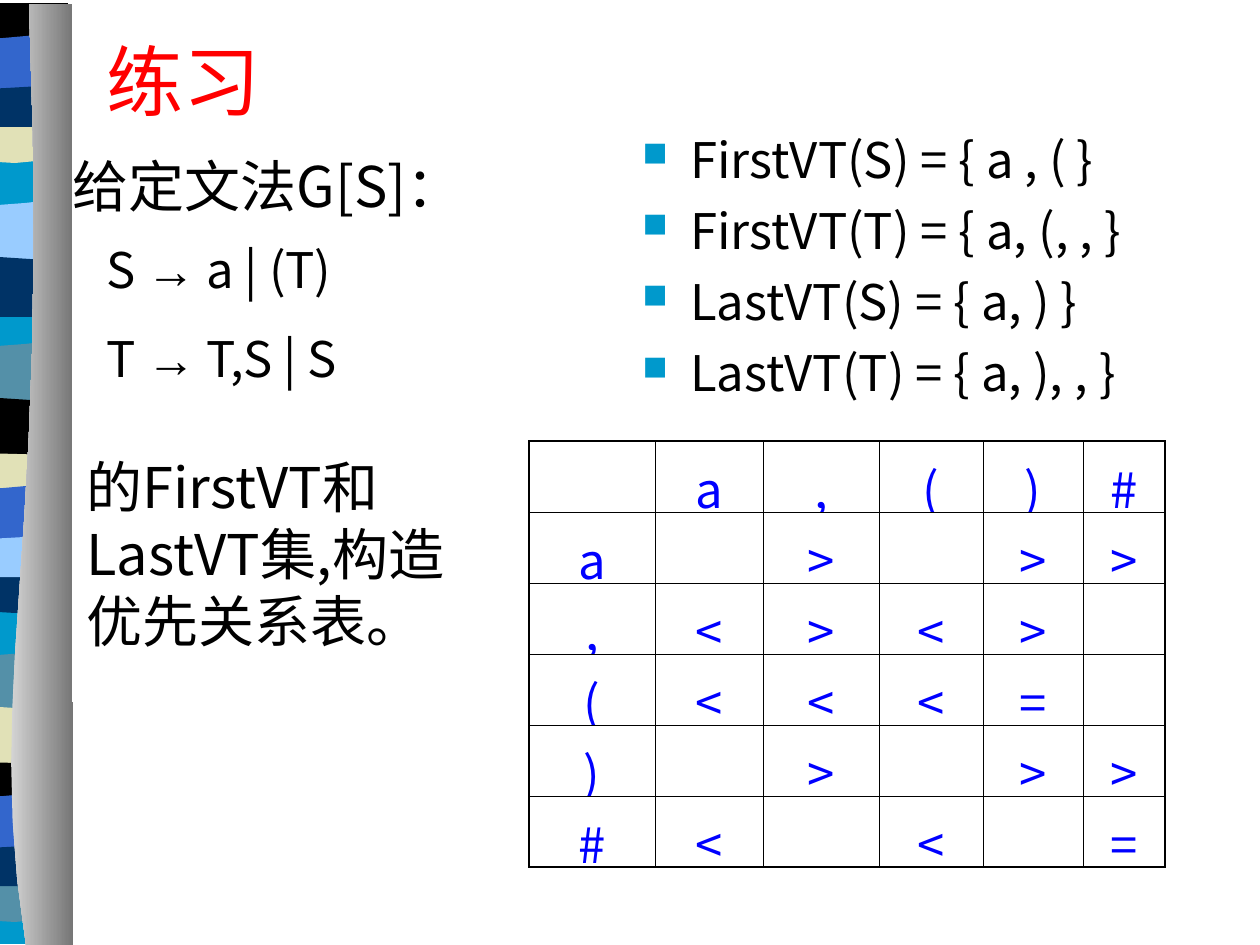
"""Build the operator-precedence exercise slide with its striped left border."""
from lxml import etree
from pptx import Presentation
from pptx import util as u
from pptx.dml.color import RGBColor
from pptx.enum import shapes, text
from pptx.oxml import ns

PX = 914400 / 126
FONT, ARROW_FONT = "Noto Sans CJK SC", "Arial"
COLORS = {
    "black": "000000", "white": "FFFFFF", "red": "FF0000", "ink": "0000FF",
    "cyan": "0099CC", "teal": "5490A8", "sand": "E1E1B7", "blue": "3366CC",
    "navy": "003366", "sky": "99CCFF", "light": "D3D3D3", "gray": "767676",
}

TITLE = ["练习"]
GIVEN = ["给定文法G[S]："]
GRAMMAR = ["S → a | (T)", "T → T,S | S"]
TASK = ["的FirstVT和LastVT集,构造优先关系表。"]
SETS = ["FirstVT(S) = { a , ( }", "FirstVT(T) = { a, (, , }",
        "LastVT(S) = { a, ) }", "LastVT(T) = { a, ), , }"]
PRECEDENCE = [
    ["", "a", ",", "(", ")", "#"],
    ["a", "", ">", "", ">", ">"],
    [",", "<", ">", "<", ">", ""],
    ["(", "<", "<", "<", "=", ""],
    [")", "", ">", "", ">", ">"],
    ["#", "<", "", "<", "", "="],
]
COLUMN_WIDTHS = [126, 108, 116, 104, 100, 82]
ROW_HEIGHT = 71

BAND_LEFT = -71
PROFILES = {
    "backdrop": [(0, 939), (0, 0), (139, 0), (139, 939)],
    "wave": [(0, 68), (0, 10), ((96, 20), (115, 0), (139, 10)), (139, 68)],
    "dip": [(0, 69), (0, 10), ((23, 0), (96, 16), (139, 10)), (139, 69)],
    "lens": [(0, 35), (0, 5), ((23, 0), (115, 0), (139, 5)), (139, 35), (86, 40)],
    "arch": [(0, 48), (0, 6), ((23, 0), (115, 0), (139, 6)), (139, 48)],
    "cap": [(0, 48), (0, 0), (139, 0), (139, 48)],
    "bow": [(0, 59), (0, 0), (53, 6), ((77, 6), (118, 0), (139, 0)), (139, 59)],
    "sheet": [(0, 44), (0, 6), (53, 6), ((77, 6), (125, 0), (139, 6)), (139, 44)],
}
BANDS = [
    ("cyan", "backdrop", 5),
    ("teal", "wave", 643), ("sand", "dip", 698), ("teal", "lens", 882),
    ("black", "arch", 761), ("blue", "bow", 791), ("navy", "sheet", 842),
    ("teal", "wave", 334), ("black", "dip", 389), ("navy", "lens", 573),
    ("sand", "arch", 452), ("blue", "bow", 483), ("sky", "sheet", 533),
    ("sky", "wave", 193), ("navy", "dip", 248), ("sand", "lens", 123),
    ("black", "cap", 3), ("blue", "bow", 33), ("navy", "sheet", 83),
]
PILLAR = [(26, 945), ((-18, 673), (52, 573), (29, 4)), (72, 4), (73, 945)]


def px(length):
    return round(length * PX)


def rgb(name):
    return RGBColor.from_string(COLORS[name])


def add_xml(parent, tag, **attributes):
    return etree.SubElement(parent, ns.qn(tag), attributes)


def write(frame, lines, size=28, color="black", gap=0, bullet=None,
          align=text.PP_ALIGN.LEFT, anchor=text.MSO_ANCHOR.TOP):
    frame.word_wrap = True
    frame.vertical_anchor = anchor
    for index, line in enumerate(lines):
        paragraph = frame.paragraphs[0] if index == 0 else frame.add_paragraph()
        paragraph.alignment = align
        if index:
            paragraph.space_before = u.Pt(gap)
        if bullet:
            properties = paragraph._p.get_or_add_pPr()
            properties.set("marL", str(px(48)))
            properties.set("indent", str(-px(48)))
            add_xml(add_xml(properties, "a:buClr"), "a:srgbClr", val=COLORS["cyan"])
            add_xml(properties, "a:buSzPct", val="70000")
            add_xml(properties, "a:buChar", char=bullet)
        for part in filter(None, line.partition("→")):
            run = paragraph.add_run()
            run.text = part
            run.font.size = u.Pt(size)
            run.font.color.rgb = rgb(color)
            run.font.name = ARROW_FONT if part == "→" else FONT
            add_xml(run._r.get_or_add_rPr(), "a:ea", typeface=run.font.name)


def add_text(slide, box, lines, **style):
    label = slide.shapes.add_textbox(*map(px, box))
    write(label.text_frame, lines, **style)


def trace(outline, steps):
    points = []
    for step in outline:
        if not isinstance(step[0], tuple):
            points.append(step)
            continue
        start, (first, second, end) = points[-1], step
        for t in (i / steps for i in range(1, steps + 1)):
            points.append(tuple(
                (1 - t) ** 3 * a + 3 * (1 - t) ** 2 * t * b + 3 * (1 - t) * t ** 2 * c + t ** 3 * d
                for a, b, c, d in zip(start, first, second, end)))
    return points


def add_outline(slide, outline, left=0, top=0, steps=4):
    points = [(px(x + left), px(y + top)) for x, y in trace(outline, steps)]
    builder = slide.shapes.build_freeform(*points[0])
    builder.add_line_segments(points[1:], close=True)
    shape = builder.convert_to_shape()
    shape.shadow.inherit = False
    shape.line.fill.background()
    return shape


def add_border(slide):
    for color, profile, top in BANDS:
        band = add_outline(slide, PROFILES[profile], BAND_LEFT, top)
        band.fill.solid()
        band.fill.fore_color.rgb = rgb(color)
    pillar = add_outline(slide, PILLAR, steps=12)
    pillar.fill.gradient()
    pillar.fill.gradient_angle = 0
    for stop, color in zip(pillar.fill.gradient_stops, ("light", "gray")):
        stop.color.rgb = rgb(color)


def rule_cell(cell, outer_sides):
    properties = cell._tc.get_or_add_tcPr()
    for side, outer in outer_sides.items():
        width = u.Pt(1.08 if outer else 0.45)
        line = add_xml(properties, f"a:ln{side}", w=str(width))
        add_xml(add_xml(line, "a:solidFill"), "a:srgbClr", val=COLORS["black"])


def add_precedence(slide):
    last = len(PRECEDENCE) - 1
    size = (sum(COLUMN_WIDTHS), ROW_HEIGHT * len(PRECEDENCE))
    table = slide.shapes.add_table(len(PRECEDENCE), len(COLUMN_WIDTHS),
                                   px(529), px(441), *map(px, size)).table
    for column, width in zip(table.columns, COLUMN_WIDTHS):
        column.width = px(width)
    for r, symbols in enumerate(PRECEDENCE):
        table.rows[r].height = px(ROW_HEIGHT)
        for c, symbol in enumerate(symbols):
            cell = table.cell(r, c)
            rule_cell(cell, {"L": c == 0, "R": c == last, "T": r == 0, "B": r == last})
            cell.fill.solid()
            cell.fill.fore_color.rgb = rgb("white")
            cell.margin_top, cell.margin_bottom = px(11), px(1)
            cell.vertical_anchor = text.MSO_ANCHOR.MIDDLE if r else text.MSO_ANCHOR.TOP
            if symbol:
                write(cell.text_frame, [symbol], color="ink", align=text.PP_ALIGN.CENTER,
                      anchor=None)


def main():
    deck = Presentation()
    deck.slide_width, deck.slide_height = px(1260), px(945)
    slide = deck.slides.add_slide(deck.slide_layouts[6])
    add_border(slide)
    add_text(slide, (94, 26, 1071, 108), TITLE, size=44, color="red",
             anchor=text.MSO_ANCHOR.MIDDLE)
    add_text(slide, (630, 123, 585, 294), SETS, gap=7, bullet="■")
    add_text(slide, (74, 446, 407, 234), TASK, size=32)
    add_text(slide, (60, 145, 449, 81), GIVEN, size=32)
    grammar = slide.shapes.add_shape(shapes.MSO_SHAPE.RECTANGLE, *map(px, (94, 233, 314, 161)))
    grammar.shadow.inherit = False
    grammar.fill.solid()
    grammar.fill.fore_color.rgb = rgb("white")
    grammar.line.fill.background()
    write(grammar.text_frame, GRAMMAR, gap=17.5)
    add_precedence(slide)
    deck.save("out.pptx")


if __name__ == "__main__":
    main()
